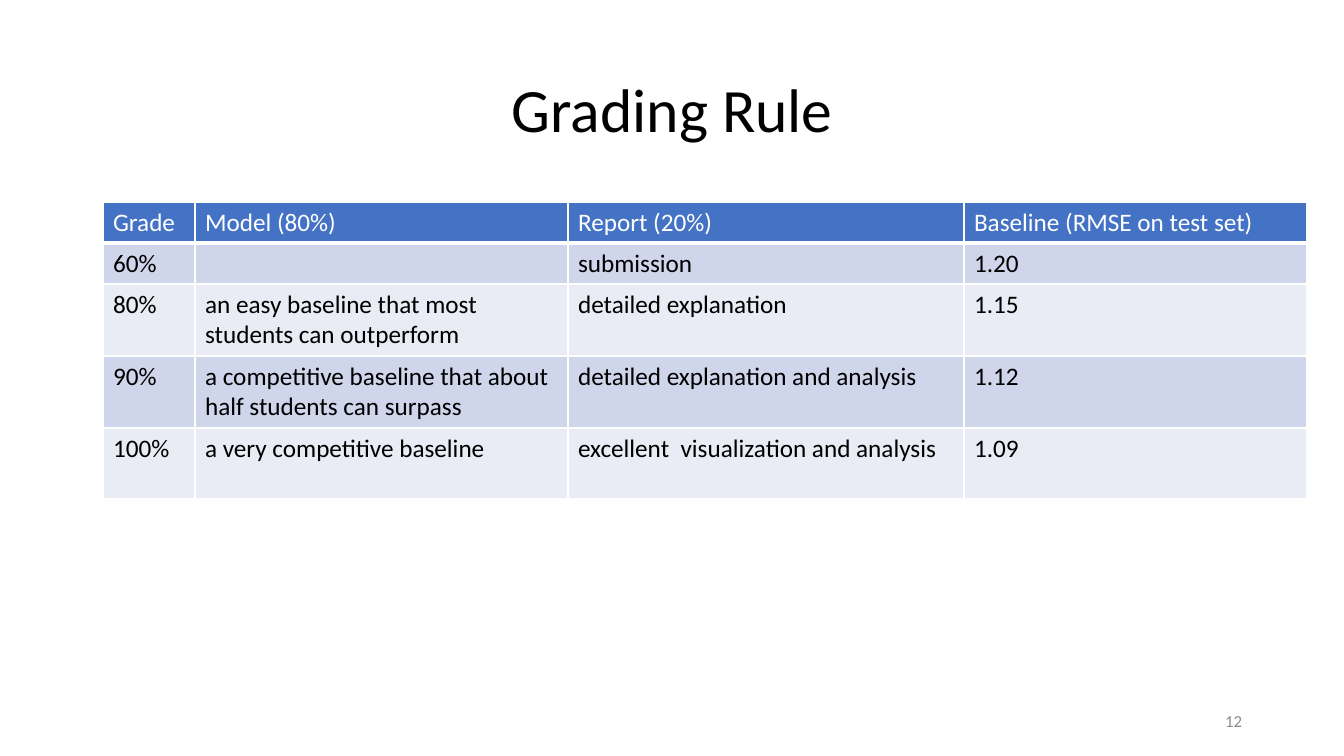
import pptx
import pptx.dml.color
import pptx.enum.text
import pptx.oxml.ns
import pptx.util
from lxml import etree

# Content
TITLE = "Grading Rule"
NUMBER = "12"
GRADES = [
    ("Grade", "Model (80%)", "Report (20%)", "Baseline (RMSE on test set)"),
    ("60%", "", "submission", "1.20"),
    ("80%", "an easy baseline that most students can outperform",
     "detailed explanation", "1.15"),
    ("90%", "a competitive baseline that about half students can surpass",
     "detailed explanation and analysis", "1.12"),
    ("100%", "a very competitive baseline",
     "excellent  visualization and analysis", "1.09"),
]

# Layout in px: left, top, width, height
SLIDE = (1344, 756)
TITLE_BOX = (93, 40, 1159, 146)
NUMBER_BOX = (950, 701, 302, 40)
ORIGIN = (103, 202)
COLS = (92, 373, 396, 343)
ROWS = (41, 41, 72, 72, 71)

THEME = {
    "font": "Calibri", "title": 44, "body": 18, "small": 12,
    "ink": "000000", "white": "FFFFFF", "gray": "8C8C8C",
    "head": "4472C4", "bands": ("CFD5EA", "E9EBF5"),
    "rule": 1, "thick": 3,
}
ALIGN = pptx.enum.text.PP_ALIGN
MIDDLE = pptx.enum.text.MSO_ANCHOR.MIDDLE


def px(n):
    return round(n * 914400 / 100.8)


def rgb(code):
    return pptx.dml.color.RGBColor.from_string(code)


def write(frame, text, size="body", color="ink", align=ALIGN.LEFT, space=1.0):
    frame.word_wrap = True
    para = frame.paragraphs[0]
    para.alignment = align
    para.line_spacing = space
    run = para.add_run()
    run.text = text
    font = run.font
    font.name = THEME["font"]
    font.size = pptx.util.Pt(THEME[size])
    font.bold = False
    font.color.rgb = rgb(THEME[color])


def label(slide, box, text, **style):
    frame = slide.shapes.add_textbox(*map(px, box)).text_frame
    frame.vertical_anchor = MIDDLE
    write(frame, text, **style)


def border(cell, base):
    props = cell._tc.get_or_add_tcPr()
    qn = pptx.oxml.ns.qn
    for side in "LRTB":
        width = base if side == "B" else THEME["rule"]
        line = etree.SubElement(props, qn("a:ln" + side),
                                w=str(pptx.util.Pt(width)))
        fill = etree.SubElement(line, qn("a:solidFill"))
        etree.SubElement(fill, qn("a:srgbClr"), val=THEME["white"])


def grid(slide):
    size = (sum(COLS), sum(ROWS))
    table = slide.shapes.add_table(
        len(ROWS), len(COLS), *map(px, ORIGIN + size)).table
    for col, width in zip(table.columns, COLS):
        col.width = px(width)
    for r, (texts, height) in enumerate(zip(GRADES, ROWS)):
        table.rows[r].height = px(height)
        head = r == 0
        back = THEME["head"] if head else THEME["bands"][(r - 1) % 2]
        for c, text in enumerate(texts):
            cell = table.cell(r, c)
            border(cell, THEME["thick" if head else "rule"])
            cell.fill.solid()
            cell.fill.fore_color.rgb = rgb(back)
            write(cell.text_frame, text, color="white" if head else "ink")


def main():
    deck = pptx.Presentation()
    deck.slide_width, deck.slide_height = map(px, SLIDE)
    slide = deck.slides.add_slide(deck.slide_layouts[6])
    # Grade table
    grid(slide)
    # Title and slide number
    label(slide, TITLE_BOX, TITLE, size="title", align=ALIGN.CENTER, space=0.9)
    label(slide, NUMBER_BOX, NUMBER, size="small", color="gray",
          align=ALIGN.RIGHT)
    deck.save("out.pptx")


if __name__ == "__main__":
    main()
